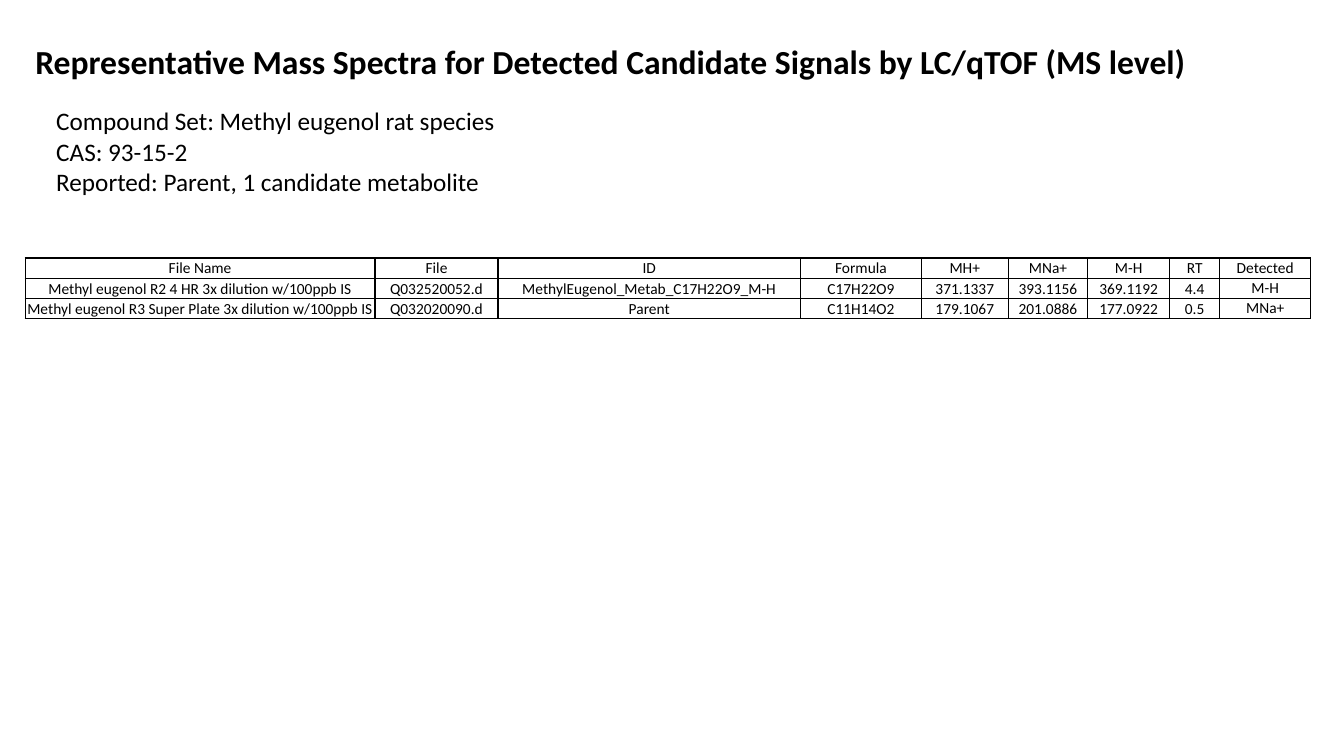
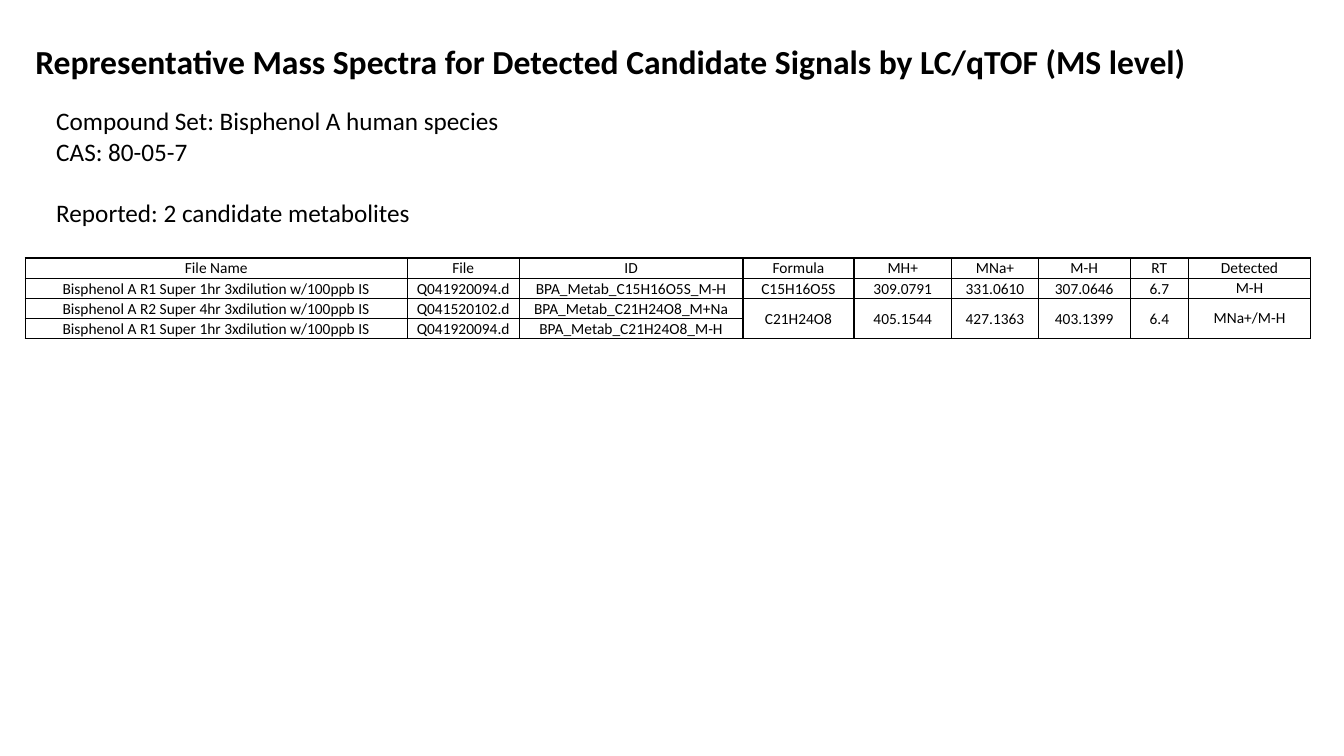
"""Build two slides of detected candidate signals by compound set."""
from dataclasses import dataclass

from lxml.etree import SubElement
from pptx import Presentation
from pptx.dml.color import RGBColor
from pptx.enum.text import MSO_ANCHOR, PP_ALIGN
from pptx.oxml.ns import qn
from pptx.util import Inches, Pt


@dataclass(frozen=True)
class Theme:
    font: str = "Calibri"
    ink: RGBColor = RGBColor(0, 0, 0)
    title_size: int = 24
    summary_size: int = 18
    table_size: int = 11
    border_width: int = 1


THEME = Theme()
TITLE = "Representative Mass Spectra for Detected Candidate Signals by LC/qTOF (MS level)"
HEADINGS = ["File Name", "File", "ID", "Formula", "MH+", "MNa+", "M-H", "RT", "Detected"]
ROW_HEIGHT = 0.2

COMPOUND_SETS = [
    {
        "summary": ["Compound Set: Methyl eugenol rat species", "CAS: 93-15-2",
                    "Reported: Parent, 1 candidate metabolite"],
        "summary_height": 1.31,
        "reported_gap": 0,
        "widths": [3.47, 1.22, 3, 1.2, 0.86, 0.79, 0.81, 0.5, 0.9],
        "signals": [
            ["Methyl eugenol R2 4 HR 3x dilution w/100ppb IS", "Q032520052.d",
             "MethylEugenol_Metab_C17H22O9_M-H", "C17H22O9",
             "371.1337", "393.1156", "369.1192", "4.4", "M-H"],
            ["Methyl eugenol R3 Super Plate 3x dilution w/100ppb IS", "Q032020090.d",
             "Parent", "C11H14O2", "179.1067", "201.0886", "177.0922", "0.5", "MNa+"],
        ],
    },
    {
        "summary": ["Compound Set: Bisphenol A human species", "CAS: 80-05-7",
                    "Reported: 2 candidate metabolites"],
        "summary_height": 1.62,
        "reported_gap": 22,
        "widths": [3.79, 1.11, 2.22, 1.1, 0.97, 0.86, 0.91, 0.58, 1.21],
        "signals": [
            ["Bisphenol A R1 Super 1hr 3xdilution w/100ppb IS", "Q041920094.d",
             "BPA_Metab_C15H16O5S_M-H", "C15H16O5S",
             "309.0791", "331.0610", "307.0646", "6.7", "M-H"],
            ["Bisphenol A R2 Super 4hr 3xdilution w/100ppb IS", "Q041520102.d",
             "BPA_Metab_C21H24O8_M+Na", "C21H24O8",
             "405.1544", "427.1363", "403.1399", "6.4", "MNa+/M-H"],
            ["Bisphenol A R1 Super 1hr 3xdilution w/100ppb IS", "Q041920094.d",
             "BPA_Metab_C21H24O8_M-H"] + [None] * 6,
        ],
    },
]


def format_text(frame, size, align, bold=False):
    for paragraph in frame.paragraphs:
        paragraph.alignment = align
        for run in paragraph.runs:
            run.font.name = THEME.font
            run.font.size = Pt(size)
            run.font.bold = bold
            run.font.color.rgb = THEME.ink


def outline_cell(cell):
    properties = cell._tc.get_or_add_tcPr()
    for side in ("a:lnL", "a:lnR", "a:lnT", "a:lnB"):
        border = SubElement(properties, qn(side), w=str(Pt(THEME.border_width)))
        fill = SubElement(border, qn("a:solidFill"))
        SubElement(fill, qn("a:srgbClr"), val=str(THEME.ink))


deck = Presentation()
deck.slide_width = Inches(13.33)
deck.slide_height = Inches(7.5)

for compound in COMPOUND_SETS:
    slide = deck.slides.add_slide(deck.slide_layouts[5])

    title = slide.shapes.title
    title.left, title.top = Inches(0.25), Inches(0.36)
    title.width, title.height = Inches(12.75), Inches(0.5)
    title.text_frame.text = TITLE
    title.text_frame.vertical_anchor = MSO_ANCHOR.TOP
    format_text(title.text_frame, THEME.title_size, PP_ALIGN.LEFT, bold=True)

    summary = slide.shapes.add_textbox(
        Inches(0.46), Inches(1), Inches(7.44), Inches(compound["summary_height"])).text_frame
    summary.word_wrap = True
    summary.text = "\n".join(compound["summary"])
    summary.paragraphs[-1].space_before = Pt(compound["reported_gap"])
    format_text(summary, THEME.summary_size, PP_ALIGN.LEFT)

    rows = [HEADINGS] + compound["signals"]
    signals = slide.shapes.add_table(
        len(rows), len(HEADINGS), Inches(0.25), Inches(2.56),
        Inches(12.75), Inches(ROW_HEIGHT * len(rows))).table
    signals.first_row = False
    signals.horz_banding = False
    for column, width in zip(signals.columns, compound["widths"]):
        column.width = Inches(width)

    for row_index, values in enumerate(rows):
        signals.rows[row_index].height = Inches(ROW_HEIGHT)
        for column_index, value in enumerate(values):
            cell = signals.cell(row_index, column_index)
            measured = row_index > 0 and column_index < len(HEADINGS) - 1
            inset = Inches(0.01 if measured else 0)
            cell.margin_left = cell.margin_right = cell.margin_top = inset
            cell.margin_bottom = 0
            cell.vertical_anchor = MSO_ANCHOR.BOTTOM if measured else MSO_ANCHOR.MIDDLE
            outline_cell(cell)
            cell.fill.background()
            if value is None:
                shared_cell = signals.cell(row_index - 1, column_index)
                shared_cell.merge(cell)
                shared_cell.vertical_anchor = MSO_ANCHOR.MIDDLE
            else:
                cell.text_frame.text = value
                format_text(cell.text_frame, THEME.table_size, PP_ALIGN.CENTER)

deck.save("out.pptx")
